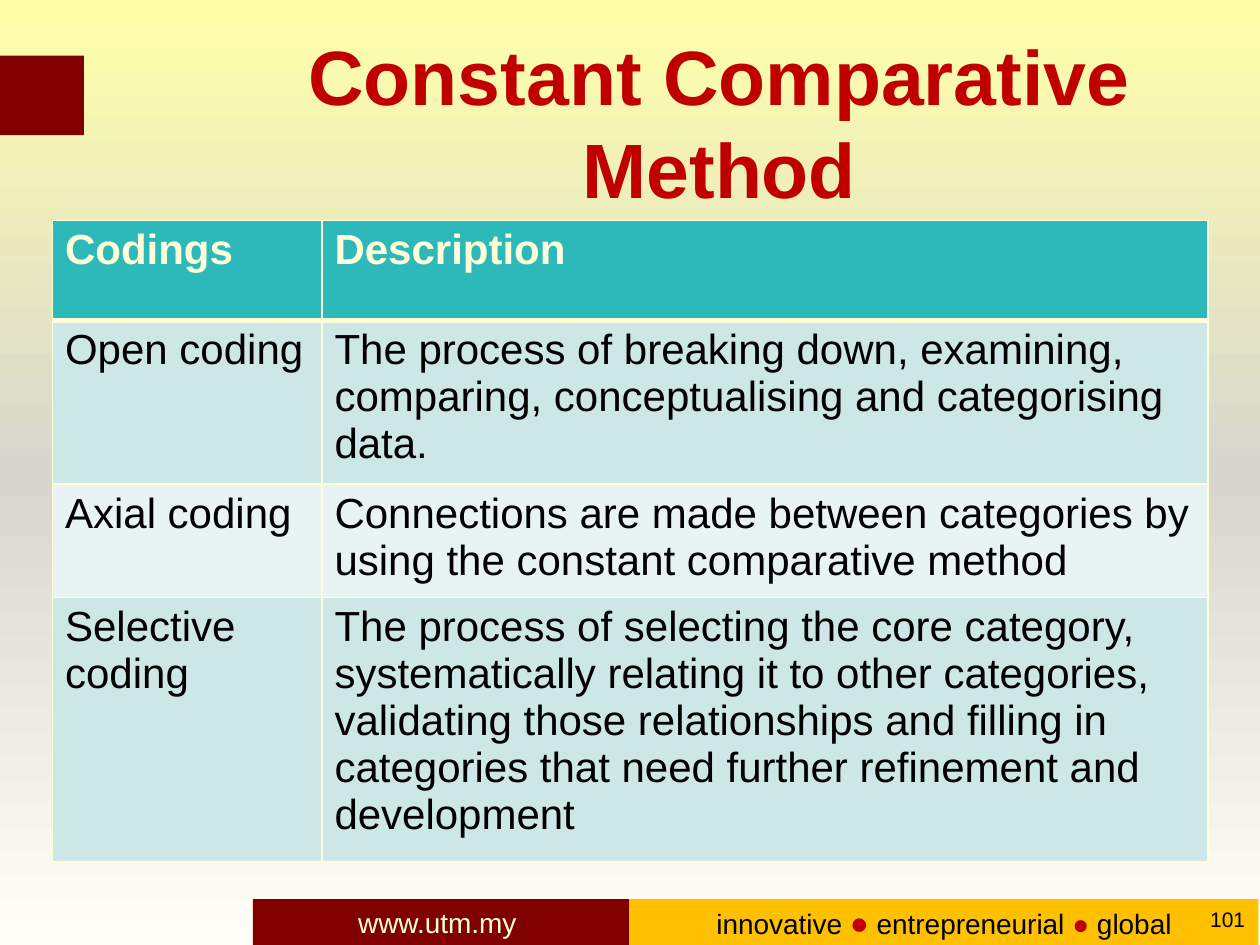
import copy

import pptx
import pptx.dml.color
import pptx.enum.shapes
import pptx.enum.text
import pptx.oxml
import pptx.oxml.ns
import pptx.util

Pt = pptx.util.Pt
RGBColor = pptx.dml.color.RGBColor
ALIGN = pptx.enum.text.PP_ALIGN
ANCHOR = pptx.enum.text.MSO_ANCHOR

FONT = "Arial"
MAROON = RGBColor(0x80, 0x00, 0x00)
AMBER = RGBColor(0xFF, 0xC0, 0x00)
RED = RGBColor(0xC0, 0x00, 0x00)
BLACK = RGBColor(0x00, 0x00, 0x00)
CREAM = RGBColor(0xFF, 0xFF, 0xD9)
TEAL = RGBColor(0x2D, 0xB9, 0xB9)
BAND_DARK = RGBColor(0xCD, 0xE6, 0xE6)
BAND_LIGHT = RGBColor(0xE8, 0xF3, 0xF3)
BACKGROUND_COLORS = [
    RGBColor(0xFF, 0xFF, 0xAA),
    RGBColor(0xD7, 0xD7, 0xD0),
    RGBColor(0xFF, 0xFF, 0xF7),
]

CODINGS = [
    ("Codings", "Description"),
    ("Open coding", "The process of breaking down, examining, comparing, "
                    "conceptualising and categorising data."),
    ("Axial coding", "Connections are made between categories by using the "
                     "constant comparative method"),
    ("Selective coding", "The process of selecting the core category, "
                         "systematically relating it to other categories, "
                         "validating those relationships and filling in "
                         "categories that need further refinement and development"),
]
ROW_HEIGHTS = [57, 87.3, 61, 140.4]
COLUMN_WIDTHS = [154, 506.2]


def paint_background(slide):
    """Three evenly spaced colours from top to bottom."""
    fill = slide.background.fill
    fill.gradient()
    fill.gradient_angle = 270
    stop_list = slide.element.find(".//" + pptx.oxml.ns.qn("a:gsLst"))
    stop_list.append(copy.deepcopy(stop_list[0]))
    for index, (stop, color) in enumerate(zip(fill.gradient_stops, BACKGROUND_COLORS)):
        stop.position = index / 2
        stop.color.rgb = color


def write_runs(text_frame, runs, align, bold=False):
    """Fill one paragraph with (text, size, color) runs."""
    text_frame.word_wrap = True
    text_frame.vertical_anchor = ANCHOR.MIDDLE
    paragraph = text_frame.paragraphs[0]
    paragraph.alignment = align
    for text, size, color in runs:
        run = paragraph.add_run()
        run.text = text
        run.font.name = FONT
        run.font.size = Pt(size)
        run.font.bold = bold
        run.font.color.rgb = color


def add_block(slide, left, top, width, height, color):
    shape = slide.shapes.add_shape(
        pptx.enum.shapes.MSO_SHAPE.RECTANGLE,
        Pt(left), Pt(top), Pt(width), Pt(height))
    shape.shadow.inherit = False
    shape.fill.solid()
    shape.fill.fore_color.rgb = color
    shape.line.fill.background()
    return shape


def add_text(slide, left, top, width, height, runs, align, bold=False):
    box = slide.shapes.add_textbox(Pt(left), Pt(top), Pt(width), Pt(height))
    write_runs(box.text_frame, runs, align, bold)


def add_footer(slide, left, top, width, height):
    """Web address, motto and slide number along the bottom edge."""
    address_width = 215.2
    address = add_block(slide, left, top, address_width, height, MAROON)
    write_runs(address.text_frame, [("www.utm.my ", 16, CREAM)], ALIGN.CENTER)

    motto = add_block(slide, left + address_width, top,
                      width - address_width, height, AMBER)
    write_runs(motto.text_frame, [
        ("innovative ", 16, BLACK),
        ("●", 18, RED),
        (" entrepreneurial ", 16, BLACK),
        ("● ", 16, RED),
        ("global", 16, BLACK),
    ], ALIGN.CENTER)

    number_width = 46.8
    add_text(slide, left + width - number_width - 0.6, top - 3,
             number_width, height + 3, [("101", 12, BLACK)], ALIGN.RIGHT)


def add_header(slide, left, top, width, height):
    """Maroon tab at the slide edge and the title beside it."""
    add_block(slide, left, top, 48, 45.4, MAROON)
    title_left = 102.2
    add_text(slide, left + title_left, top + 16.6, width - title_left, height,
             [("Constant Comparative Method", 44, RED)], ALIGN.CENTER, bold=True)


def set_borders(cell, bottom_width):
    properties = cell._tc.get_or_add_tcPr()
    widths = {"lnL": 1, "lnR": 1, "lnT": 1, "lnB": bottom_width}
    for index, (side, width) in enumerate(widths.items()):
        properties.insert(index, pptx.oxml.parse_xml(
            f'<a:{side} {pptx.oxml.ns.nsdecls("a")} w="{Pt(width)}">'
            f'<a:solidFill><a:srgbClr val="{CREAM}"/></a:solidFill></a:{side}>'))


def add_codings_table(slide, left, top):
    table = slide.shapes.add_table(
        len(CODINGS), len(COLUMN_WIDTHS), Pt(left), Pt(top),
        Pt(sum(COLUMN_WIDTHS)), Pt(sum(ROW_HEIGHTS))).table
    for column, width in zip(table.columns, COLUMN_WIDTHS):
        column.width = Pt(width)
    for row_index, (row, height) in enumerate(zip(table.rows, ROW_HEIGHTS)):
        row.height = Pt(height)
        is_header = row_index == 0
        band = BAND_DARK if row_index % 2 else BAND_LIGHT
        for cell, text in zip(row.cells, CODINGS[row_index]):
            cell.fill.solid()
            cell.fill.fore_color.rgb = TEAL if is_header else band
            write_runs(cell.text_frame,
                       [(text, 24, CREAM if is_header else BLACK)],
                       ALIGN.LEFT, bold=is_header)
            cell.vertical_anchor = ANCHOR.TOP
            set_borders(cell, 3 if is_header else 1)


def main():
    presentation = pptx.Presentation()
    presentation.slide_width = Pt(720)
    presentation.slide_height = Pt(540)
    slide = presentation.slides.add_slide(presentation.slide_layouts[6])

    paint_background(slide)
    add_footer(slide, left=144.5, top=513.8, width=574.7, height=26.2)
    add_header(slide, left=0, top=31.8, width=720, height=41.8)
    add_codings_table(slide, left=30, top=126)

    presentation.save("out.pptx")


if __name__ == "__main__":
    main()
